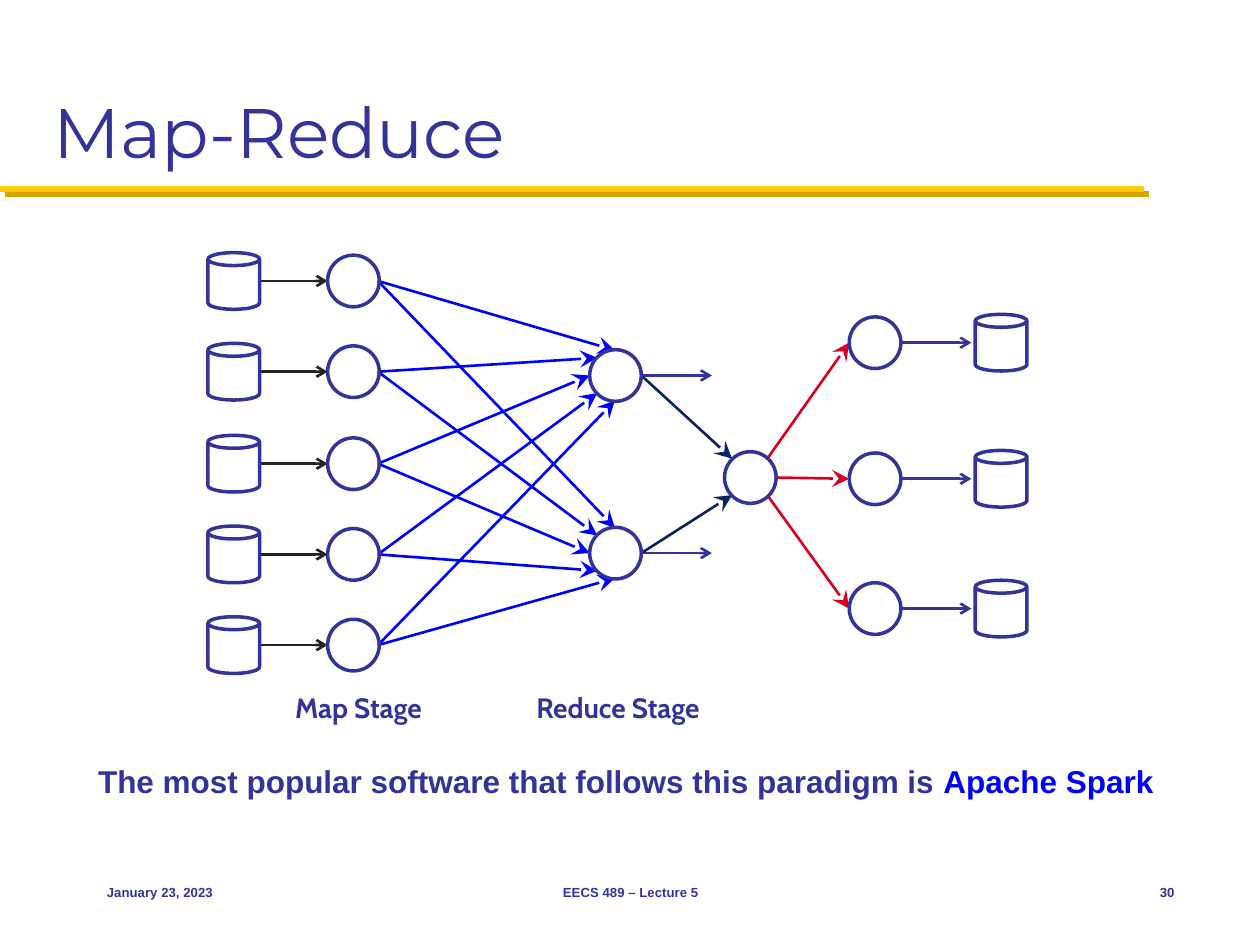
from lxml import etree
from pptx import Presentation
from pptx.dml.color import RGBColor
from pptx.enum.shapes import MSO_CONNECTOR, MSO_SHAPE
from pptx.enum.text import MSO_ANCHOR, PP_ALIGN
from pptx.oxml import parse_xml
from pptx.oxml.ns import nsdecls, qn
from pptx.util import Inches, Pt

COLORS = {"indigo": "333399", "maize": "FFCB05", "maize_shadow": "D3A600", "blue": "0000FF",
          "black": "232323", "navy": "09245F", "red": "D9001F"}
NODE, CAN_HEIGHT = 0.41, 0.45

presentation = Presentation()
presentation.slide_width, presentation.slide_height = Inches(10), Inches(7.5)
slide = presentation.slides.add_slide(presentation.slide_layouts[6])


def add_line(start, end, color, width=1.5, head=None):
    connector = slide.shapes.add_connector(
        MSO_CONNECTOR.STRAIGHT, *[Inches(value) for value in (*start, *end)])
    connector.line.color.rgb = RGBColor.from_string(COLORS[color])
    connector.line.width = Pt(width)
    if head:
        size = "lg" if head == "stealth" else "med"
        etree.SubElement(connector.line._get_or_add_ln(), qn("a:tailEnd"),
                         type=head, w=size, len=size)
    etree.SubElement(connector._element.spPr, qn("a:effectLst"))
    return connector


def add_text(box, runs, size, font, bold=True, align=PP_ALIGN.LEFT,
             anchor=MSO_ANCHOR.TOP, wrap=False):
    frame = slide.shapes.add_textbox(*[Inches(value) for value in box]).text_frame
    frame.word_wrap = wrap
    frame.vertical_anchor = anchor
    paragraph = frame.paragraphs[0]
    paragraph.alignment = align
    paragraph.font.size, paragraph.font.name, paragraph.font.bold = Pt(size), font, bold
    for text, color in runs:
        run = paragraph.add_run()
        run.text = text
        run.font.color.rgb = RGBColor.from_string(COLORS[color])


# Title and its rule with a hard shadow
rule = add_line((0, 1.5), (9.08, 1.5), "maize", 3.5)
rule._element.spPr.find(qn("a:effectLst")).append(parse_xml(
    f'<a:outerShdw {nsdecls("a")} blurRad="0" dist="53340" dir="2700000" algn="ctr" '
    f'rotWithShape="0"><a:srgbClr val="{COLORS["maize_shadow"]}"/></a:outerShdw>'))
add_text((0.33, 0.17, 9.33, 1.25), [("Map-Reduce", "indigo")], 40, "Montserrat",
         bold=False, anchor=MSO_ANCHOR.BOTTOM, wrap=True)

# Footer
for left, width, text, align in [
        (0.75, 2.08, "January 23, 2023", PP_ALIGN.LEFT),
        (3.42, 3.17, "EECS 489 – Lecture 5", PP_ALIGN.CENTER),
        (8.75, 0.67, "30", PP_ALIGN.RIGHT)]:
    add_text((left, 6.83, width, 0.5), [(text, "indigo")], 7.5, "Arial",
             align=align, anchor=MSO_ANCHOR.MIDDLE, wrap=True)

# Rows of the stages, by the height of their middles
map_rows = [2.23, 2.95, 3.68, 4.4, 5.12]
reduce_rows = [2.98, 4.39]
output_rows = [2.72, 3.8, 4.83]
merge_row = 3.79

# Shuffle arrows fan in around the left half of each reduce node
fan = [(4.88, -0.2), (4.74, -0.14), (4.68, 0), (4.74, 0.14), (4.88, 0.2)]
for reduce_y in reduce_rows:
    for map_y, (x, rise) in zip(map_rows, fan):
        add_line((3, map_y), (x, reduce_y + rise), "blue", head="stealth")

# Arrows from inputs to map nodes, and out of the reduce nodes
for y in map_rows:
    add_line((2.07, y), (2.6, y), "black", head="arrow")
for y in reduce_rows:
    add_line((5.09, y), (5.65, y), "indigo", head="arrow")

# Arrows through the merge node to the outputs
for y, entry_y in zip(reduce_rows, (3.64, 3.93)):
    add_line((5.09, y), (5.81, entry_y), "navy", head="stealth")
for y, exit_x, exit_y in zip(output_rows, (6.09, 6.15, 6.09), (3.64, 3.79, 3.93)):
    add_line((exit_x, exit_y), (6.74, y), "red", head="stealth")
    add_line((7.15, y), (7.71, y), "indigo", head="arrow")

# Nodes and data stores
for kind, height, left, rows in [
        (MSO_SHAPE.CAN, CAN_HEIGHT, 1.65, map_rows),
        (MSO_SHAPE.OVAL, NODE, 2.6, map_rows),
        (MSO_SHAPE.OVAL, NODE, 4.68, reduce_rows),
        (MSO_SHAPE.OVAL, NODE, 5.75, [merge_row]),
        (MSO_SHAPE.OVAL, NODE, 6.74, output_rows),
        (MSO_SHAPE.CAN, CAN_HEIGHT, 7.74, output_rows)]:
    for y in rows:
        shape = slide.shapes.add_shape(kind, Inches(left), Inches(y - height / 2),
                                       Inches(NODE), Inches(height))
        shape.shadow.inherit = False
        shape.fill.background()
        shape.line.color.rgb = RGBColor.from_string(COLORS["indigo"])
        shape.line.width = Pt(2)

# Stage labels and closing statement
for left, width, text in [(2.15, 1.39, "Map Stage"), (4.04, 1.73, "Reduce Stage")]:
    add_text((left, 5.43, width, 0.37), [(text, "indigo")], 16, "Cabin",
             align=PP_ALIGN.CENTER)
add_text((0.68, 6, 8.65, 0.4),
         [("The most popular software that follows this paradigm is ", "indigo"),
          ("Apache Spark", "blue")], 18, "Arial")

presentation.save("out.pptx")
